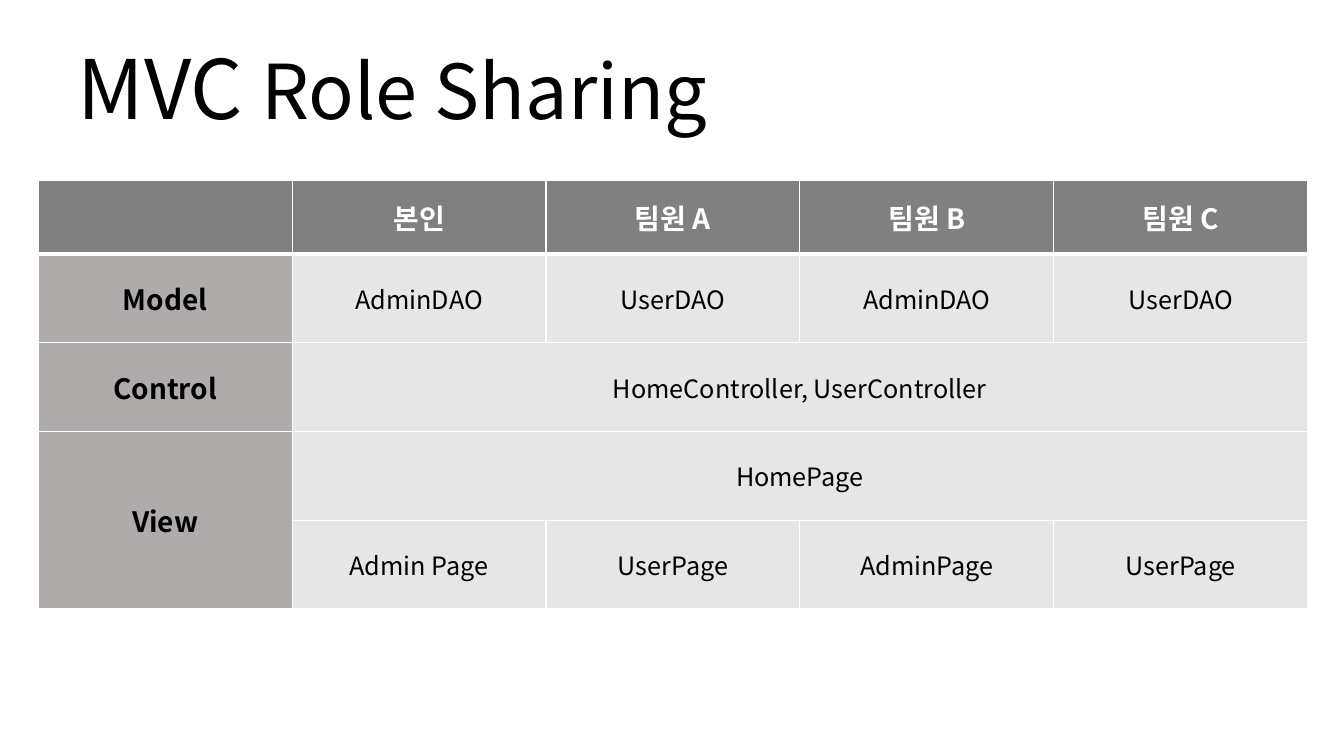
from pptx import Presentation
from pptx.dml.color import RGBColor
from pptx.enum import text
from pptx.oxml import ns, xmlchemy
from pptx.util import Inches, Pt

FONT = "Noto Sans CJK KR"
BLACK, WHITE = "000000", "FFFFFF"
HEADER_FILL, ROLE_FILL, BODY_FILL = "808080", "AFABAB", "E7E6E6"

ROWS = [
    ["", "본인", "팀원 A", "팀원 B", "팀원 C"],
    ["Model", "AdminDAO", "UserDAO", "AdminDAO", "UserDAO"],
    ["Control", "HomeController, UserController"],
    ["View", "HomePage"],
    ["", "Admin Page", "UserPage", "AdminPage", "UserPage"],
]
MERGES = [((2, 1), (2, 4)), ((3, 1), (3, 4)), ((3, 0), (4, 0))]

HEADER = {"size": Pt(20), "bold": True, "color": WHITE}
ROLE = {"size": Pt(20), "bold": True, "color": BLACK}
BODY = {"size": Pt(18), "bold": False, "color": BLACK}


def rgb(color):
    return RGBColor.from_string(color)


def add_run(p, words, style):
    r = p.add_run()
    r.text = words
    r.font.name = FONT
    for name, value in style.items():
        if name == "color":
            r.font.color.rgb = rgb(value)
        else:
            setattr(r.font, name, value)
    ea = xmlchemy.OxmlElement("a:ea")
    ea.set("typeface", FONT)
    r.font._element.find(ns.qn("a:latin")).addnext(ea)


def add_border(cell, side, width):
    """Append a white line; borders must precede the cell's fill."""
    ln = xmlchemy.OxmlElement(f"a:ln{side}")
    ln.set("w", str(Pt(width)))
    fill = xmlchemy.OxmlElement("a:solidFill")
    clr = xmlchemy.OxmlElement("a:srgbClr")
    clr.set("val", WHITE)
    fill.append(clr)
    ln.append(fill)
    cell._tc.get_or_add_tcPr().append(ln)


def format_cell(cell, words, fill, style, widths):
    for side, width in widths.items():
        add_border(cell, side, width)
    cell.fill.solid()
    cell.fill.fore_color.rgb = rgb(fill)
    cell.vertical_anchor = text.MSO_ANCHOR.MIDDLE
    p = cell.text_frame.paragraphs[0]
    p.alignment = text.PP_ALIGN.CENTER
    if words:
        add_run(p, words, style)


def set_title(slide):
    sp = slide.shapes.title
    sp.left, sp.top = Inches(0.67), Inches(0.3)
    sp.width, sp.height = Inches(12), Inches(1.25)
    tf = sp.text_frame
    tf.auto_size = text.MSO_AUTO_SIZE.NONE
    tf.vertical_anchor = text.MSO_ANCHOR.MIDDLE
    p = tf.paragraphs[0]
    p.alignment = text.PP_ALIGN.LEFT
    p.line_spacing = 0.9
    add_run(p, "MVC ", {"size": Pt(58.6), "color": BLACK})
    add_run(p, "Role Sharing", {"size": Pt(54), "color": BLACK})


def add_role_table(slide):
    table = slide.shapes.add_table(
        len(ROWS), len(ROWS[0]),
        Inches(0.38), Inches(1.79), Inches(12.59), Inches(4.25)).table
    for column in table.columns:
        column.width = Inches(12.59 / len(ROWS[0]))
    for i, row in enumerate(table.rows):
        row.height = Inches(0.88 if i else 0.73)
    for first, last in MERGES:
        table.cell(*first).merge(table.cell(*last))

    for i in range(len(ROWS)):
        for j in range(len(ROWS[0])):
            words = ROWS[i][j] if j < len(ROWS[i]) else ""
            if i == 0:
                fill, style = HEADER_FILL, HEADER
            elif j == 0:
                fill, style = ROLE_FILL, ROLE
            else:
                fill, style = BODY_FILL, BODY
            widths = {"L": 1, "R": 1, "T": 3 if i == 1 else 1, "B": 1 if i else 3}
            format_cell(table.cell(i, j), words, fill, style, widths)


def main():
    prs = Presentation()
    prs.slide_width, prs.slide_height = Inches(13.33), Inches(7.5)
    slide = prs.slides.add_slide(prs.slide_layouts[5])
    set_title(slide)
    add_role_table(slide)
    prs.save("out.pptx")


if __name__ == "__main__":
    main()
